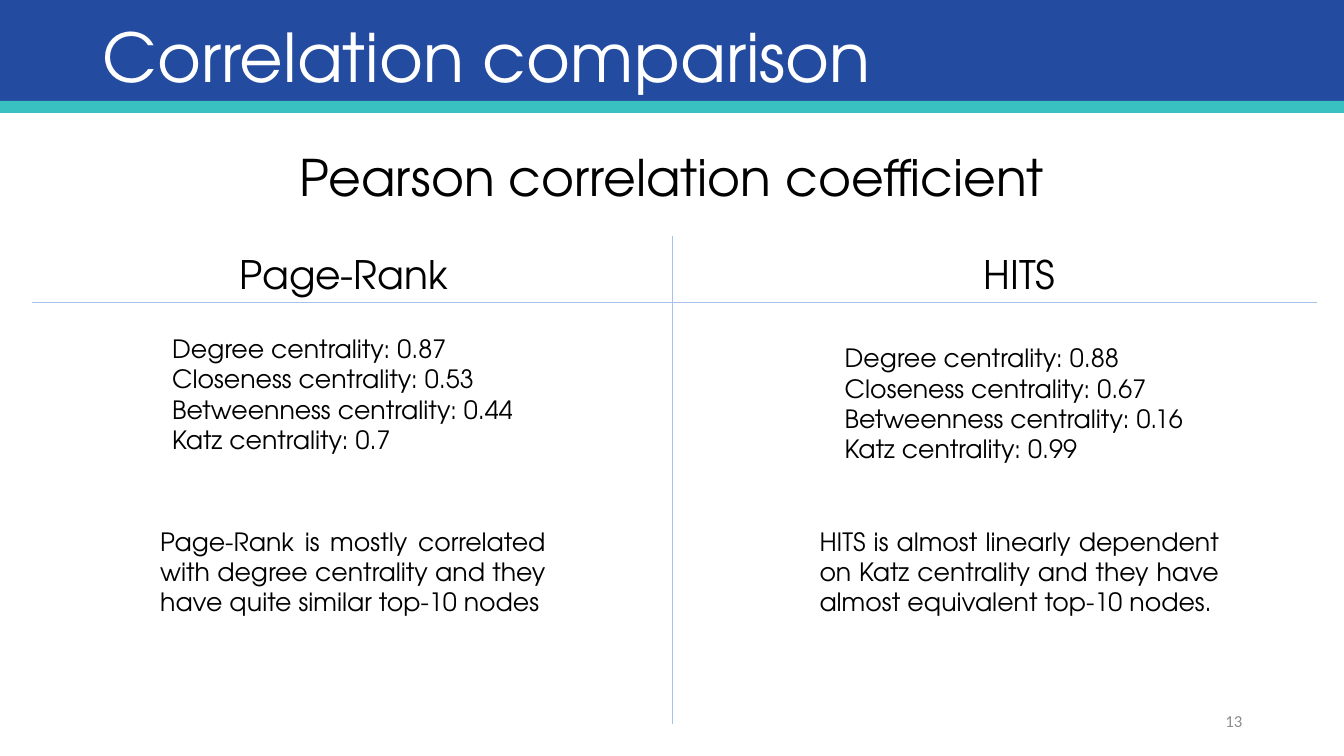
from dataclasses import dataclass

import pptx
import pptx.dml.color
import pptx.enum.shapes
import pptx.enum.text
import pptx.oxml.ns
import pptx.util
from lxml import etree

Inches = pptx.util.Inches
Pt = pptx.util.Pt
RGBColor = pptx.dml.color.RGBColor
Align = pptx.enum.text.PP_ALIGN
Anchor = pptx.enum.text.MSO_ANCHOR

BLUE = RGBColor(0x23, 0x4B, 0x9F)
TEAL = RGBColor(0x39, 0xC1, 0xC1)
RULE = RGBColor(0xAA, 0xC0, 0xEC)
GRAY = RGBColor(0x8C, 0x8C, 0x8C)
BLACK = RGBColor(0, 0, 0)
WHITE = RGBColor(255, 255, 255)
FONT = "TeX Gyre Adventor"
SLIDE_W, SLIDE_H = 13.33, 7.5


@dataclass
class Bar:
    top: float
    height: float
    color: RGBColor


@dataclass
class Rule:
    x1: float
    y1: float
    x2: float
    y2: float


@dataclass
class Label:
    left: float
    top: float
    width: float
    height: float
    lines: list[str]
    size: int = 18
    align: Align = Align.LEFT
    color: RGBColor = BLACK
    font: str = FONT
    anchor: Anchor = Anchor.TOP


BARS = [Bar(0, 1.11, BLUE), Bar(1, 0.12, TEAL)]
RULES = [Rule(6.67, 2.34, 6.67, 7.18), Rule(0.32, 3, 13.06, 3)]
TITLE = Label(0.92, 0.1, 9.19, 0.91, ["Correlation comparison"], 48, color=WHITE)
LABELS = [
    Label(2.74, 1.4, 7.85, 0.71, ["Pearson correlation coefficient"], 36, Align.CENTER),
    Label(2.28, 2.43, 2.42, 0.57, ["Page-Rank"], 28),
    Label(8.9, 2.43, 2.42, 0.57, ["HITS"], 28, Align.CENTER),
    Label(1.61, 3.26, 3.77, 1.92, [
        "Degree centrality: 0.87",
        "Closeness centrality: 0.53",
        "Betweenness centrality: 0.44",
        "Katz centrality: 0.7",
    ]),
    Label(8.28, 3.35, 3.66, 1.92, [
        "Degree centrality: 0.88",
        "Closeness centrality: 0.67",
        "Betweenness centrality: 0.16",
        "Katz centrality: 0.99",
    ]),
    Label(1.49, 5.17, 4.02, 1.31, [
        "Page-Rank is mostly correlated with degree centrality "
        "and they have quite similar top-10 nodes",
    ], align=Align.JUSTIFY),
    Label(8.03, 5.17, 4.16, 1.01, [
        "HITS is almost linearly dependent on Katz centrality "
        "and they have almost equivalent top-10 nodes.",
    ], align=Align.JUSTIFY),
    Label(9.42, 6.95, 3, 0.4, ["13"], 12, Align.RIGHT, GRAY, "Calibri", Anchor.MIDDLE),
]


def add_bar(s: pptx.slide.Slide, bar: Bar) -> None:
    sp = s.shapes.add_shape(pptx.enum.shapes.MSO_SHAPE.RECTANGLE, 0, Inches(bar.top),
                            Inches(SLIDE_W), Inches(bar.height))
    sp.shadow.inherit = False
    sp.fill.solid()
    sp.fill.fore_color.rgb = bar.color
    sp.line.fill.background()


def add_rule(s: pptx.slide.Slide, rule: Rule) -> None:
    line = s.shapes.add_connector(pptx.enum.shapes.MSO_CONNECTOR.STRAIGHT,
                                  Inches(rule.x1), Inches(rule.y1),
                                  Inches(rule.x2), Inches(rule.y2))
    line.line.color.rgb = RULE
    line.line.width = Pt(0.5)
    etree.SubElement(line.element.spPr, pptx.oxml.ns.qn("a:effectLst"))


def write_text(sp: pptx.shapes.autoshape.Shape, label: Label) -> None:
    tf = sp.text_frame
    tf.text = "\n".join(label.lines)
    tf.word_wrap = True
    tf.auto_size = pptx.enum.text.MSO_AUTO_SIZE.NONE
    tf.vertical_anchor = label.anchor
    for p in tf.paragraphs:
        p.alignment = label.align
        p.font.size = Pt(label.size)
        p.font.name = label.font
        p.font.color.rgb = label.color


def add_label(s: pptx.slide.Slide, label: Label) -> None:
    sp = s.shapes.add_textbox(Inches(label.left), Inches(label.top),
                              Inches(label.width), Inches(label.height))
    write_text(sp, label)


def place_title(s: pptx.slide.Slide, label: Label) -> None:
    """Fill the title placeholder and bring it in front of the bars."""
    sp = s.shapes.title
    sp.left, sp.top = Inches(label.left), Inches(label.top)
    sp.width, sp.height = Inches(label.width), Inches(label.height)
    write_text(sp, label)
    sp.element.getparent().append(sp.element)


def main() -> None:
    prs = pptx.Presentation()
    prs.slide_width, prs.slide_height = Inches(SLIDE_W), Inches(SLIDE_H)
    s = prs.slides.add_slide(prs.slide_layouts.get_by_name("Title Only"))
    for bar in BARS:
        add_bar(s, bar)
    place_title(s, TITLE)
    for rule in RULES:
        add_rule(s, rule)
    for label in LABELS:
        add_label(s, label)
    prs.save("out.pptx")


if __name__ == "__main__":
    main()
